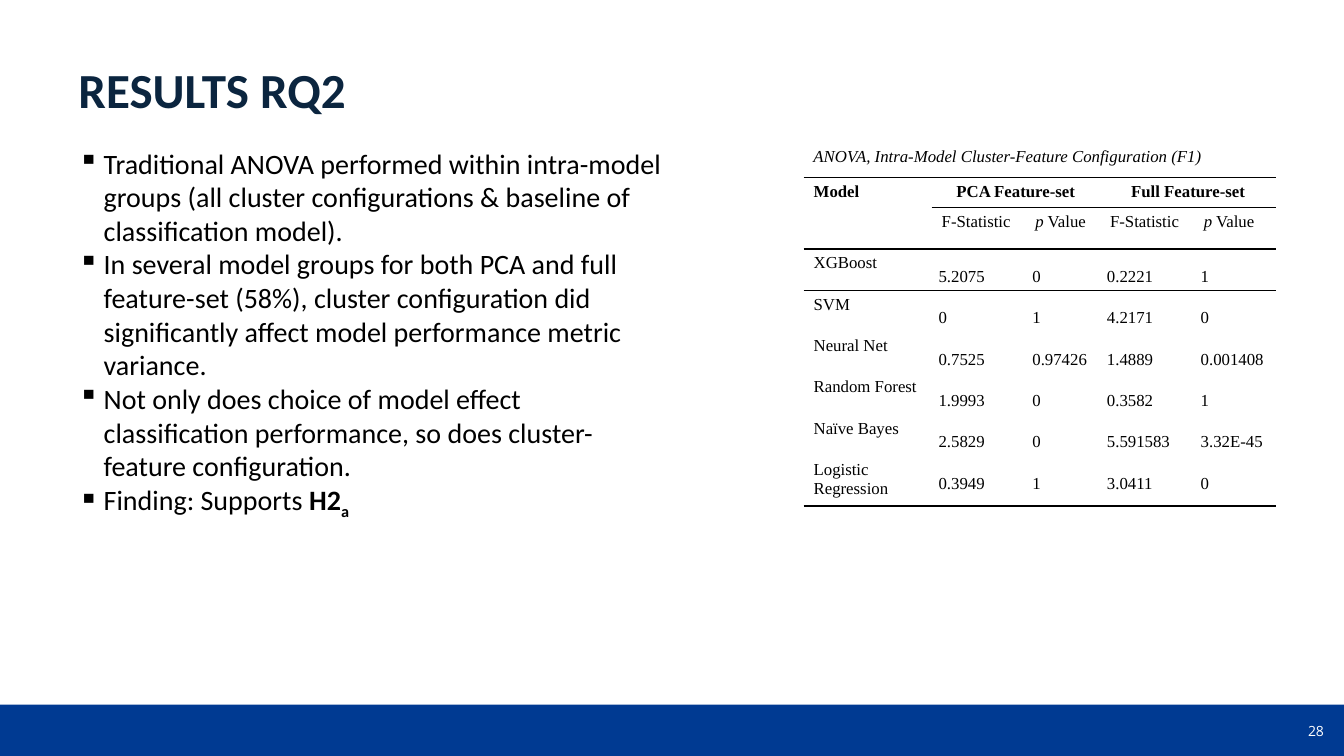
from lxml import etree
from pptx import Presentation, util as u
from pptx.dml.color import RGBColor
from pptx.enum import shapes, text
from pptx.oxml import ns

COLORS = {"ink": "000000", "navy": "0B253F", "blue": "003A92", "white": "FFFFFF"}
SERIF = "Times New Roman"


def color(name):
    return RGBColor.from_string(COLORS[name])


def write(frame, paras, font=SERIF, size=12, ink="ink", style="", align="LEFT",
          space=None, bullet=None):
    """Fill a frame; a paragraph is a string or a list of (text, style) runs,
    with style letters b for bold, i for italic and s for subscript."""
    for n, para in enumerate(paras):
        p = frame.add_paragraph() if n else frame.paragraphs[0]
        p.alignment = getattr(text.PP_ALIGN, align)
        p.line_spacing = space
        if bullet:
            props = p._p.get_or_add_pPr()
            props.set("marL", str(u.Inches(0.25)))
            props.set("indent", str(-u.Inches(0.25)))
            etree.SubElement(props, ns.qn("a:buChar"), char=bullet)
        for words, mark in ([(para, style)] if isinstance(para, str) else para):
            r = p.add_run()
            r.text = words
            r.font.name, r.font.size = font, u.Pt(size)
            r.font.color.rgb = color(ink)
            r.font.bold, r.font.italic = "b" in mark, "i" in mark
            if "s" in mark:
                r.font._element.set("baseline", "-25000")


deck = Presentation()
deck.slide_width, deck.slide_height = u.Inches(13.33), u.Inches(7.5)
slide = deck.slides.add_slide(deck.slide_layouts[6])

# Footer band
band = slide.shapes.add_shape(shapes.MSO_SHAPE.RECTANGLE, 0, u.Inches(6.99),
                              deck.slide_width, u.Inches(0.53))
band.shadow.inherit = False
band.fill.solid()
band.fill.fore_color.rgb = color("blue")
band.line.fill.background()

# Text boxes
points = [
    "Traditional ANOVA performed within intra-model groups "
    "(all cluster configurations & baseline of classification model).",
    "In several model groups for both PCA and full feature-set (58%), cluster "
    "configuration did significantly affect model performance metric variance.",
    "Not only does choice of model effect classification performance, "
    "so does cluster-feature configuration.",
    [("Finding: Supports ", ""), ("H2", "b"), ("a", "bs")],
]
left, top = 0.68, 1.4
grid = 7.97
boxes = [
    ((11.47, 7.12, 1.76, 0.28), ["28"],
     dict(font="Open Sans", size=10, ink="white", align="RIGHT")),
    ((left, 0.54, 12.52, 0.71), ["RESULTS RQ2"],
     dict(font="Calibri", size=35, ink="navy", style="b")),
    ((left, top, 5.99, 5.35), points, dict(font="Calibri", size=20, bullet="▪")),
    ((grid, top, 4.1, 0.3),
     ["ANOVA, Intra-Model Cluster-Feature Configuration (F1)"], dict(style="i")),
]
for place, paras, look in boxes:
    frame = slide.shapes.add_textbox(*map(u.Inches, place)).text_frame
    frame.word_wrap = True
    write(frame, paras, **look)

# Results table
stats = ["F-Statistic", [("p", "i"), (" Value", "")]] * 2
rows = [
    ["Model", "PCA Feature-set", "", "Full Feature-set", ""],
    ["", *stats],
    ["XGBoost", "5.2075", "0", "0.2221", "1"],
    ["SVM", "0", "1", "4.2171", "0"],
    ["Neural Net", "0.7525", "0.97426", "1.4889", "0.001408"],
    ["Random Forest", "1.9993", "0", "0.3582", "1"],
    ["Naïve Bayes", "2.5829", "0", "5.591583", "3.32E-45"],
    ["Logistic\nRegression", "0.3949", "1", "3.0411", "0"],
]
widths = [1.27, 0.93, 0.74, 0.93, 0.82]
heights = [0.3] + [0.41] * 7
last = len(rows) - 1
table = slide.shapes.add_table(
    len(rows), len(widths), u.Inches(grid), u.Inches(1.76),
    u.Inches(sum(widths)), u.Inches(sum(heights))).table
table.first_row = table.horz_banding = False
plain = "{2D5ABB26-0587-4C30-8999-92F81FD0307C}"
table._tbl.tblPr.find(ns.qn("a:tableStyleId")).text = plain
for col, width in zip(table.columns, widths):
    col.width = u.Inches(width)
for row, height in zip(table.rows, heights):
    row.height = u.Inches(height)
for c in (1, 3):
    table.cell(0, c).merge(table.cell(0, c + 1))

for r, row in enumerate(rows):
    for c, value in enumerate(row):
        cell = table.cell(r, c)
        head, number = r == 0, r > 1 and c > 0
        if number:
            cell.margin_left = cell.margin_right = u.Inches(0.07)
            cell.margin_top = cell.margin_bottom = 0
        if not cell.is_spanned:
            paras = value.split("\n") if isinstance(value, str) else [value]
            write(cell.text_frame, paras, style="b" if head else "",
                  align="CENTER" if head and c else "LEFT",
                  space=2.0 if number else None)
        props = cell._tc.get_or_add_tcPr()
        edges = {"a:lnT": r in (0, 2) or (r == 1 and c > 0),
                 "a:lnB": r in (1, last) or (head and c > 0)}
        for tag, shown in edges.items():
            if shown:
                line = etree.SubElement(props, ns.qn(tag), w=str(u.Pt(1)))
                fill = etree.SubElement(line, ns.qn("a:solidFill"))
                etree.SubElement(fill, ns.qn("a:srgbClr"), val=COLORS["ink"])
        cell.fill.background()

deck.save("out.pptx")
